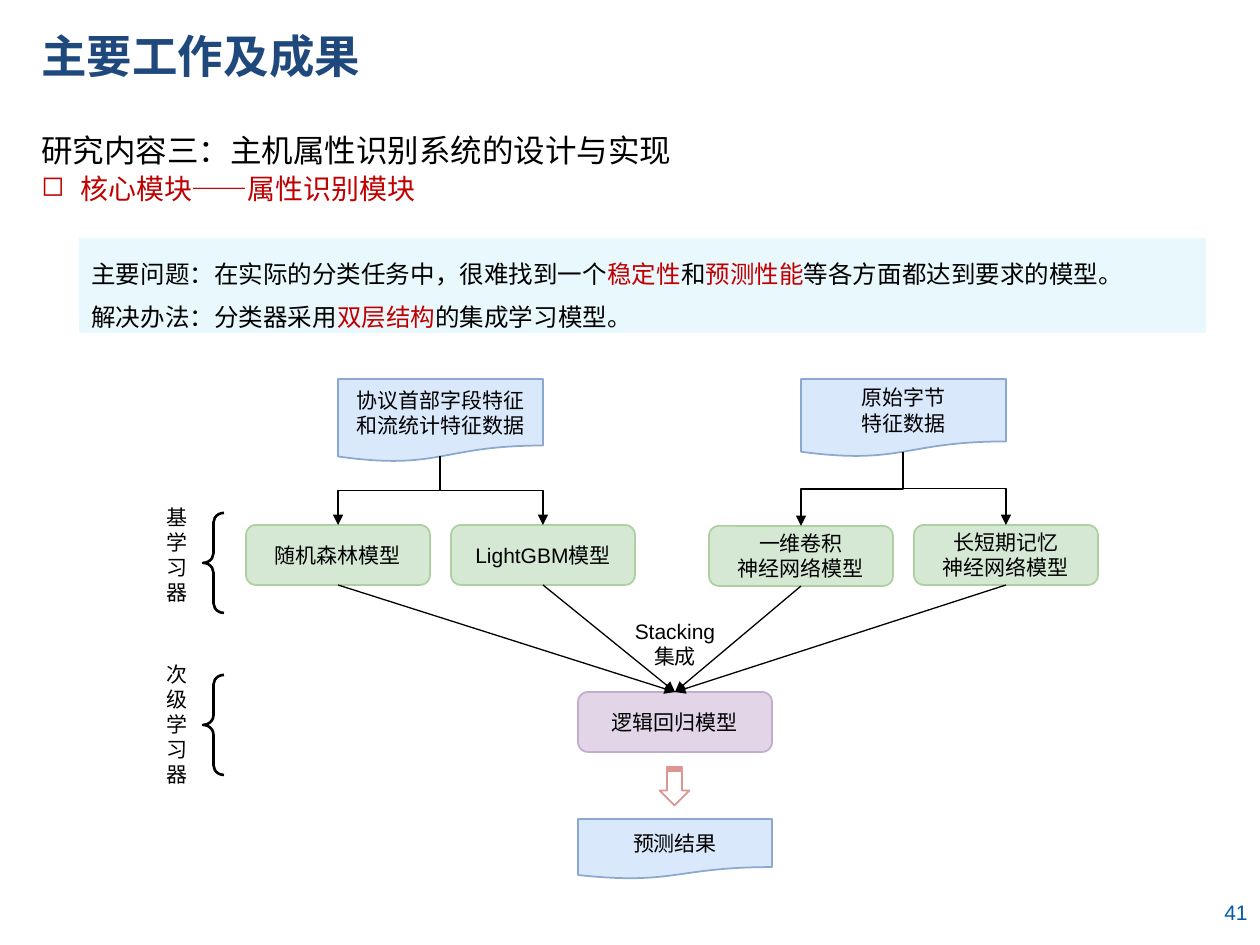
from dataclasses import dataclass

from lxml import etree
from pptx import Presentation
from pptx.dml.color import RGBColor
from pptx.enum.shapes import MSO_CONNECTOR, MSO_SHAPE
from pptx.enum.text import MSO_ANCHOR, PP_ALIGN
from pptx.oxml.ns import qn
from pptx.shapes.autoshape import Shape
from pptx.shapes.connector import Connector
from pptx.slide import Slide
from pptx.util import Emu, Pt

PX_PER_INCH = 126
LEFT, CENTER, RIGHT, JUSTIFY = PP_ALIGN.LEFT, PP_ALIGN.CENTER, PP_ALIGN.RIGHT, PP_ALIGN.JUSTIFY
TOP, MIDDLE = MSO_ANCHOR.TOP, MSO_ANCHOR.MIDDLE
RECTANGLE, ROUNDED = MSO_SHAPE.RECTANGLE, MSO_SHAPE.ROUNDED_RECTANGLE
DOCUMENT, BRACE = MSO_SHAPE.FLOWCHART_DOCUMENT, MSO_SHAPE.LEFT_BRACE
STRIPED_ARROW = MSO_SHAPE.STRIPED_RIGHT_ARROW
STRAIGHT, ELBOW = MSO_CONNECTOR.STRAIGHT, MSO_CONNECTOR.ELBOW
TOP_SITE, BOTTOM_SITE = 0, 2


@dataclass(frozen=True)
class Theme:
    latin: str = "Arial"
    chinese: str = "Noto Sans CJK SC"
    title_size: int = 26
    heading_size: int = 18
    subheading_size: int = 16
    banner_size: int = 14
    body_size: int = 12
    black: str = "000000"
    title: str = "1F497D"
    accent: str = "C00000"
    page_number: str = "005BAC"
    banner: str = "E9F8FD"
    arrow: str = "DC9592"
    data: tuple[str, str] = ("DAE8FC", "8BA8CE")
    base: tuple[str, str] = ("D5E8D4", "AFCFA0")
    meta: tuple[str, str] = ("E1D5E7", "C2AECC")


THEME = Theme()


@dataclass(frozen=True)
class Box:
    left: int
    top: int
    width: int
    height: int

    @property
    def center(self) -> int:
        return self.left + self.width // 2


@dataclass(frozen=True)
class Style:
    size: int = THEME.body_size
    color: str = THEME.black
    font: str = THEME.latin
    bold: bool = False
    align: PP_ALIGN = LEFT
    anchor: MSO_ANCHOR = TOP
    line_spacing: int | None = None


@dataclass(frozen=True)
class Node:
    box: Box
    lines: tuple[str, ...]
    kind: MSO_SHAPE
    colors: tuple[str, str]


@dataclass(frozen=True)
class Branch:
    """A data source and the base models that it feeds."""
    source: Node
    stem_top: int
    models: tuple[Node, ...]


@dataclass(frozen=True)
class Layer:
    label: str
    label_box: Box
    brace_top: int


def data_node(box: Box, *lines: str) -> Node:
    return Node(box, lines, DOCUMENT, THEME.data)


def base_node(left: int, top: int, *lines: str) -> Node:
    return Node(Box(left, top, 184, 60), lines, ROUNDED, THEME.base)


BRANCHES = (
    Branch(data_node(Box(338, 379, 205, 83), "协议首部字段特征", "和流统计特征数据"), 456,
           (base_node(246, 525, "随机森林模型"), base_node(451, 525, "LightGBM模型"))),
    Branch(data_node(Box(801, 379, 205, 78), "原始字节", "特征数据"), 452,
           (base_node(709, 526, "一维卷积", "神经网络模型"),
            base_node(914, 525, "长短期记忆", "神经网络模型"))),
)
META_MODEL = Node(Box(578, 692, 194, 60), ("逻辑回归模型",), ROUNDED, THEME.meta)
RESULT = data_node(Box(578, 819, 194, 60), "预测结果")
LAYERS = (
    Layer("基学习器", Box(154, 498, 33, 115), 513),
    Layer("次级学习器", Box(154, 655, 45, 140), 675),
)
# Within a banner line every second piece is emphasised.
BANNER_LINES = (
    ("主要问题：在实际的分类任务中，很难找到一个", "稳定性", "和", "预测性能",
     "等各方面都达到要求的模型。"),
    ("解决办法：分类器采用", "双层结构", "的集成学习模型。"),
)


def px(length: float) -> Emu:
    return Emu(round(length * 914400 / PX_PER_INCH))


def rgb(color: str) -> RGBColor:
    return RGBColor.from_string(color)


def write(shape: Shape, lines: tuple[tuple[str, ...], ...], style: Style) -> None:
    """Fill a shape with paragraphs, each a tuple of plain and emphasised pieces."""
    frame = shape.text_frame
    frame.word_wrap = True
    frame.vertical_anchor = style.anchor
    frame.text = "\n".join(pieces[0] for pieces in lines)
    for paragraph, pieces in zip(frame.paragraphs, lines):
        paragraph.alignment = style.align
        if style.line_spacing:
            paragraph.line_spacing = Pt(style.line_spacing)
        for piece in pieces[1:]:
            paragraph.add_run().text = piece
        for index, run in enumerate(paragraph.runs):
            run.font.name = style.font
            run.font.size = Pt(style.size)
            run.font.bold = style.bold
            run.font.color.rgb = rgb(THEME.accent if index % 2 else style.color)
            east_asian = etree.SubElement(run.font._element, qn("a:ea"))
            east_asian.set("typeface", THEME.chinese)


def add_text(slide: Slide, box: Box, style: Style, *lines: str) -> Shape:
    shape = slide.shapes.add_textbox(px(box.left), px(box.top), px(box.width), px(box.height))
    write(shape, tuple((line,) for line in lines), style)
    return shape


def add_bullet(shape: Shape, symbol: str, indent: int) -> None:
    properties = shape.text_frame.paragraphs[0]._p.get_or_add_pPr()
    properties.set("marL", str(px(indent)))
    properties.set("indent", str(-px(indent)))
    etree.SubElement(properties, qn("a:buChar")).set("char", symbol)


def add_shape(slide: Slide, kind: MSO_SHAPE, box: Box, fill: str | None = None,
              line: str | None = None, line_width: float = 1) -> Shape:
    shape = slide.shapes.add_shape(kind, px(box.left), px(box.top), px(box.width), px(box.height))
    shape.shadow.inherit = False
    if fill:
        shape.fill.solid()
        shape.fill.fore_color.rgb = rgb(fill)
    else:
        shape.fill.background()
    if line:
        shape.line.color.rgb = rgb(line)
        shape.line.width = Pt(line_width)
    else:
        shape.line.fill.background()
    return shape


def add_node(slide: Slide, node: Node) -> Shape:
    shape = add_shape(slide, node.kind, node.box, *node.colors)
    write(shape, tuple((line,) for line in node.lines), Style(align=CENTER, anchor=MIDDLE))
    return shape


def style_arrow(connector: Connector) -> None:
    connector.line.color.rgb = rgb(THEME.black)
    connector.line.width = Pt(0.75)
    etree.SubElement(connector.line._get_or_add_ln(), qn("a:tailEnd")).set("type", "triangle")
    etree.SubElement(connector._element.spPr, qn("a:effectLst"))


def add_elbow(slide: Slide, x1: int, y1: int, x2: int, y2: int) -> None:
    """Draw a down-across-down arrow: an across-down-across elbow, turned a quarter."""
    middle_x, middle_y = (x1 + x2) / 2, (y1 + y2) / 2
    half_height = abs(x2 - x1) / 2
    half_width = (y2 - y1) / 2 * (1 if x2 < x1 else -1)
    connector = slide.shapes.add_connector(
        ELBOW, px(middle_x - half_width), px(middle_y - half_height),
        px(middle_x + half_width), px(middle_y + half_height))
    connector._element.spPr.find(qn("a:xfrm")).set("rot", str((90 if x2 < x1 else 270) * 60000))
    style_arrow(connector)


def add_headings(slide: Slide) -> None:
    add_text(slide, Box(29, 15, 713, 81),
             Style(THEME.title_size, THEME.title, THEME.chinese, True, anchor=MIDDLE), "主要工作及成果")
    add_text(slide, Box(29, 125, 1179, 50), Style(THEME.heading_size, font=THEME.chinese),
             "研究内容三：主机属性识别系统的设计与实现")
    subheading = add_text(slide, Box(29, 165, 406, 47),
                          Style(THEME.subheading_size, THEME.accent), "核心模块——属性识别模块")
    add_bullet(subheading, "◻", 39)
    banner = add_shape(slide, RECTANGLE, Box(79, 238, 1127, 95), THEME.banner)
    write(banner, BANNER_LINES, Style(THEME.banner_size, align=JUSTIFY, line_spacing=25))


def add_diagram(slide: Slide) -> None:
    meta_model = add_node(slide, META_MODEL)
    add_node(slide, RESULT)
    for branch in BRANCHES:
        add_node(slide, branch.source)
        for model in branch.models:
            shape = add_node(slide, model)
            add_elbow(slide, branch.source.box.center, branch.stem_top,
                      model.box.center, model.box.top)
            connector = slide.shapes.add_connector(STRAIGHT, 0, 0, 0, 0)
            connector.begin_connect(shape, BOTTOM_SITE)
            connector.end_connect(meta_model, TOP_SITE)
            style_arrow(connector)
    add_text(slide, Box(608, 612, 134, 63), Style(align=CENTER), "Stacking", "集成")
    add_shape(slide, STRIPED_ARROW, Box(655, 771, 39, 30), line=THEME.arrow).rotation = 90
    for layer in LAYERS:
        add_text(slide, layer.label_box, Style(), layer.label)
        brace = add_shape(slide, BRACE, Box(203, layer.brace_top, 21, 100),
                          line=THEME.black, line_width=1.5)
        brace.adjustments[0], brace.adjustments[1] = 0.46, 0.5


def main() -> None:
    presentation = Presentation()
    presentation.slide_width, presentation.slide_height = px(1260), px(945)
    slide = presentation.slides.add_slide(presentation.slide_layouts[6])
    add_headings(slide)
    add_diagram(slide)
    add_text(slide, Box(976, 887, 284, 50),
             Style(color=THEME.page_number, align=RIGHT, anchor=MIDDLE), "41")
    presentation.save("out.pptx")


if __name__ == "__main__":
    main()
